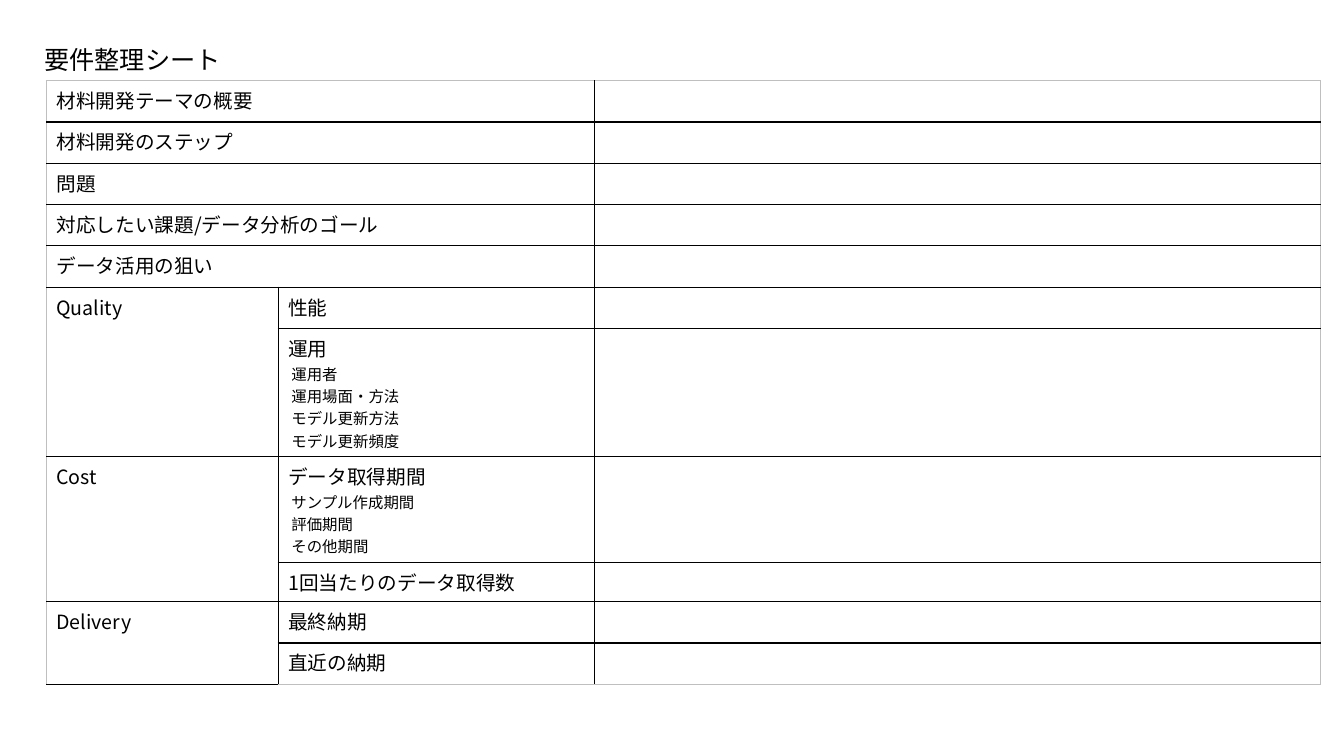
from lxml import etree
from pptx import Presentation
from pptx import util as u
from pptx.dml.color import RGBColor
from pptx.enum import text
from pptx.oxml.ns import qn

FONT = "Noto Sans CJK JP"
BLACK, GRAY = "000000", "BFBFBF"
COLUMN_WIDTHS = [2.3, 3.14, 7.2]
ROW_HEIGHT = 0.41
THEMES = ["材料開発テーマの概要", "材料開発のステップ", "問題",
          "対応したい課題/データ分析のゴール", "データ活用の狙い"]
# Category, then its items as (row height, heading, details)
CATEGORIES = [
    ("Quality", [(ROW_HEIGHT, "性能", []),
                 (1.27, "運用", ["運用者", "運用場面・方法", "モデル更新方法", "モデル更新頻度"])]),
    ("Cost", [(1.05, "データ取得期間", ["サンプル作成期間", "評価期間", "その他期間"]),
              (0.39, "1回当たりのデータ取得数", [])]),
    ("Delivery", [(ROW_HEIGHT, "最終納期", []), (ROW_HEIGHT, "直近の納期", [])]),
]


def color(value):
    return RGBColor.from_string(value)


class Sheet:
    def __init__(self, slide):
        self.slide = slide

    def style(self, para, size, indent=0):
        para.font.size = u.Pt(size)
        para.font.name = FONT
        para.font.color.rgb = color(BLACK)
        properties = para._p.get_or_add_pPr()
        defaults = properties.find(qn("a:defRPr"))
        etree.SubElement(defaults, qn("a:ea"), typeface=FONT)
        if indent:
            properties.set("marL", str(u.Inches(indent)))
            properties.set("indent", "0")
        if not para.runs:
            etree.SubElement(para._p, qn("a:endParaRPr"), sz=str(size * 100))

    def title(self, words, left, top, width, height):
        box = self.slide.shapes.add_textbox(*map(u.Inches, (left, top, width, height)))
        box.text_frame.word_wrap = False
        box.text_frame.auto_size = text.MSO_AUTO_SIZE.SHAPE_TO_FIT_TEXT
        para = box.text_frame.paragraphs[0]
        para.text = words
        self.style(para, 18)

    def table(self, left, top, heights):
        frame = self.slide.shapes.add_table(
            len(heights), len(COLUMN_WIDTHS), u.Inches(left), u.Inches(top),
            u.Inches(sum(COLUMN_WIDTHS)), u.Inches(sum(heights)))
        table = frame.table
        table.first_row = table.horz_banding = False
        for column, width in zip(table.columns, COLUMN_WIDTHS):
            column.width = u.Inches(width)
        for row, height in zip(table.rows, heights):
            row.height = u.Inches(height)
        return table

    def fill(self, cell, heading, details=()):
        cell.text = "\n".join([heading, *details])
        first, *rest = cell.text_frame.paragraphs
        self.style(first, 14)
        for para in rest:
            self.style(para, 11, indent=0.03)

    def borders(self, cell, outer_sides):
        """Draw inner sides in black and the table's outer sides in thin gray."""
        properties = cell._tc.get_or_add_tcPr()
        for side in ("lnL", "lnR", "lnT", "lnB"):
            shade, width = (GRAY, 0.5) if side in outer_sides else (BLACK, 1)
            line = etree.SubElement(properties, qn(f"a:{side}"), w=str(u.Pt(width)))
            solid = etree.SubElement(line, qn("a:solidFill"))
            etree.SubElement(solid, qn("a:srgbClr"), val=shade)
        cell.fill.background()


def build_requirements(sheet):
    items = [item for _, group in CATEGORIES for item in group]
    heights = [ROW_HEIGHT] * len(THEMES) + [height for height, _, _ in items]
    table = sheet.table(0.46, 0.8, heights)
    last_row, last_column = len(heights) - 1, len(COLUMN_WIDTHS) - 1
    for r in range(len(heights)):
        for c in range(len(COLUMN_WIDTHS)):
            edges = {"lnL": c == 0, "lnR": c == last_column,
                     "lnT": r == 0, "lnB": r == last_row}
            sheet.borders(table.cell(r, c), [side for side, outer in edges.items() if outer])
        sheet.fill(table.cell(r, last_column), "")

    for r, theme in enumerate(THEMES):
        table.cell(r, 0).merge(table.cell(r, 1))
        sheet.fill(table.cell(r, 0), theme)
    start = len(THEMES)
    for category, group in CATEGORIES:
        table.cell(start, 0).merge(table.cell(start + len(group) - 1, 0))
        sheet.fill(table.cell(start, 0), category)
        for r, (_, heading, details) in enumerate(group, start):
            sheet.fill(table.cell(r, 1), heading, details)
        start += len(group)


def main():
    deck = Presentation()
    deck.slide_width, deck.slide_height = u.Inches(13.33), u.Inches(7.5)
    sheet = Sheet(deck.slides.add_slide(deck.slide_layouts[6]))
    build_requirements(sheet)
    sheet.title("要件整理シート", 0.34, 0.39, 1.97, 0.4)
    deck.save("out.pptx")


if __name__ == "__main__":
    main()
